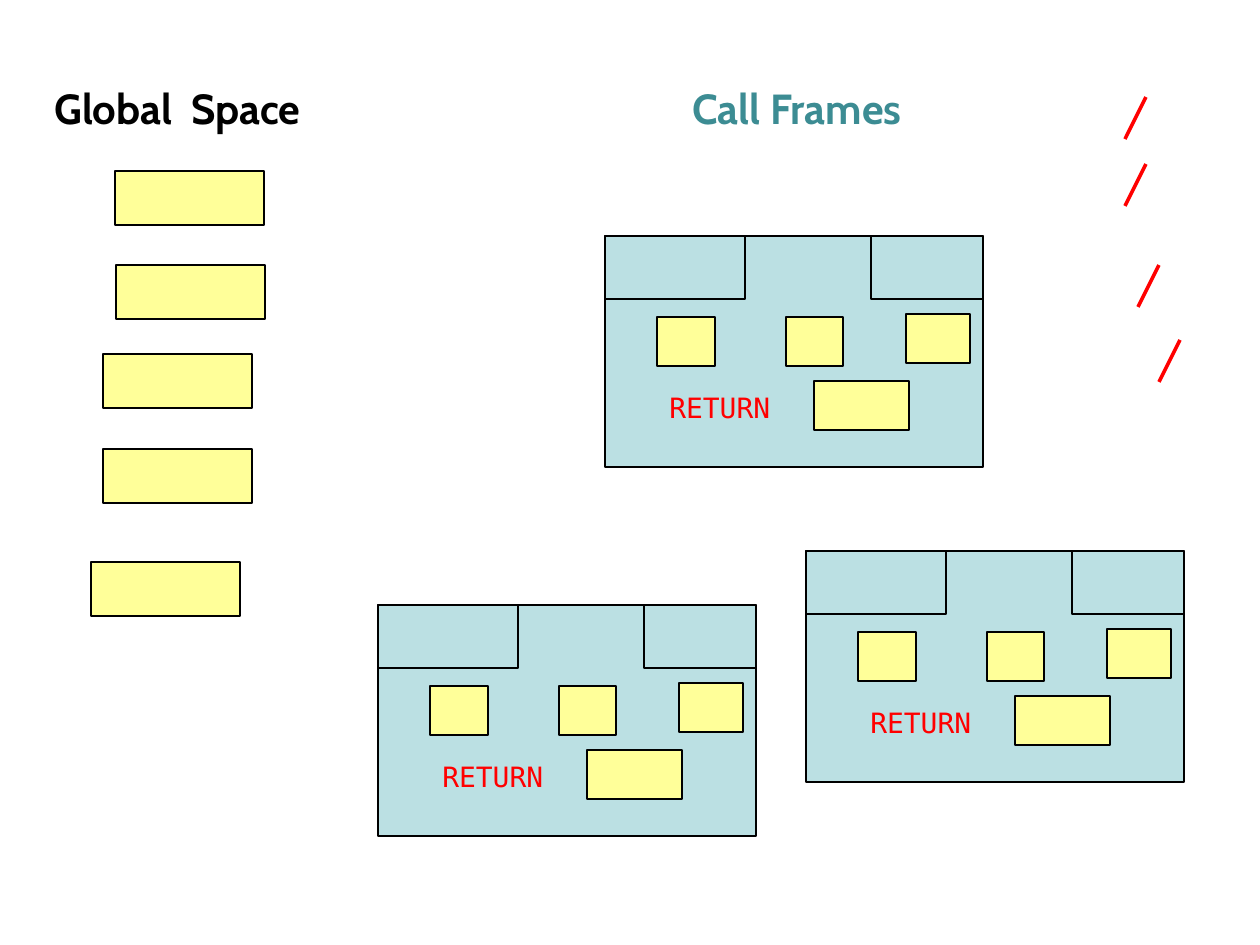
from dataclasses import dataclass

from pptx import Presentation
from pptx import util as u
from pptx.dml.color import RGBColor
from pptx.enum import shapes, text
from pptx.oxml.ns import qn
from lxml import etree

PX = 914400 / 126  # EMU in one px


@dataclass(frozen=True)
class Theme:
    ink: str = "000000"
    teal: str = "3C8C93"
    red: str = "FF0000"
    frame: str = "BBE0E3"
    variable: str = "FFFF99"
    heading_font: str = "Cabin"
    code_font: str = "DejaVu Sans Mono"
    heading_size: int = 24
    code_size: int = 16
    thin: float = 0.75
    medium: float = 1
    thick: float = 2


THEME = Theme()
SLIDE = (1260, 945)

# Headings: words, colour, (left, top, width, height)
HEADINGS = [
    ("Global  Space", THEME.ink, (42, 76, 362, 63)),
    ("Call Frames", THEME.teal, (680, 76, 300, 63)),
]

GLOBAL_SIZE = (149, 54)
GLOBALS = [(115, 171), (116, 265), (103, 354), (103, 449), (91, 562)]

SLASH_SIZE = (21, 42)
SLASHES = [(1125, 97), (1125, 164), (1138, 265), (1159, 340)]

# Each call frame has the same parts, placed from its top left corner
FRAMES = [(605, 236), (806, 551), (378, 605)]
FRAME_PARTS = [
    (THEME.frame, (0, 0, 378, 231)),
    (THEME.frame, (0, 0, 140, 63)),
    (THEME.frame, (266, 0, 112, 63)),
    (THEME.variable, (52, 81, 58, 49)),
    (THEME.variable, (181, 81, 57, 49)),
    (THEME.variable, (301, 78, 64, 49)),
    (THEME.variable, (209, 145, 95, 49)),
]
RETURN_LABEL = ("RETURN", (52, 147, 152, 49))


def emu(*lengths):
    return [u.Emu(round(length * PX)) for length in lengths]


def color(value):
    return RGBColor.from_string(value)


def add_box(parent, place, fill, line_width):
    box = parent.add_shape(shapes.MSO_SHAPE.RECTANGLE, *emu(*place))
    box.shadow.inherit = False
    box.fill.solid()
    box.fill.fore_color.rgb = color(fill)
    box.line.color.rgb = color(THEME.ink)
    box.line.width = u.Pt(line_width)


def add_label(parent, words, place, font, size, ink, bold=False,
              anchor=text.MSO_ANCHOR.TOP):
    frame = parent.add_textbox(*emu(*place)).text_frame
    frame.word_wrap = True
    frame.vertical_anchor = anchor
    para = frame.paragraphs[0]
    para.text = words
    para.font.name = font
    para.font.size = u.Pt(size)
    para.font.bold = bold
    para.font.color.rgb = color(ink)


def add_slash(parent, left, top):
    width, height = SLASH_SIZE
    slash = parent.add_connector(
        shapes.MSO_CONNECTOR.STRAIGHT,
        *emu(left, top + height, left + width, top))
    slash.line.color.rgb = color(THEME.red)
    slash.line.width = u.Pt(THEME.thick)
    etree.SubElement(slash._element.spPr, qn("a:effectLst"))


def add_call_frame(page, left, top):
    group = page.shapes.add_group_shape().shapes
    for fill, (x, y, width, height) in FRAME_PARTS:
        add_box(group, (left + x, top + y, width, height), fill, THEME.thin)
    words, (x, y, width, height) = RETURN_LABEL
    add_label(group, words, (left + x, top + y, width, height),
              THEME.code_font, THEME.code_size, THEME.red,
              anchor=text.MSO_ANCHOR.MIDDLE)


def main():
    deck = Presentation()
    deck.slide_width, deck.slide_height = emu(*SLIDE)
    page = deck.slides.add_slide(deck.slide_layouts[6])

    for words, ink, place in HEADINGS:
        add_label(page.shapes, words, place, THEME.heading_font,
                  THEME.heading_size, ink, bold=True)
    for corner in GLOBALS:
        add_box(page.shapes, corner + GLOBAL_SIZE, THEME.variable, THEME.medium)
    for corner in SLASHES:
        add_slash(page.shapes, *corner)
    for corner in FRAMES:
        add_call_frame(page, *corner)

    deck.save("out.pptx")


if __name__ == "__main__":
    main()
